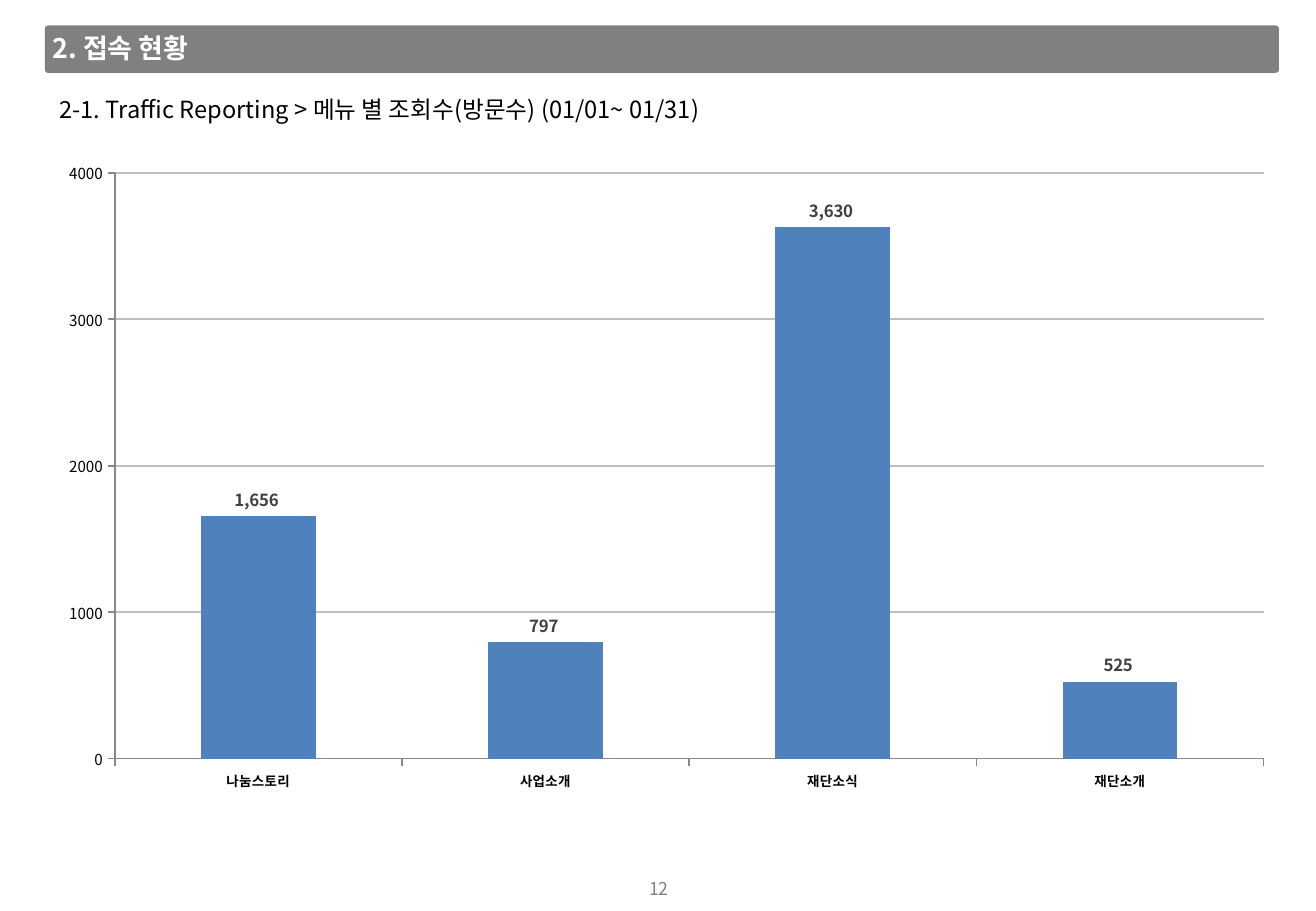
"""Build the menu page view slide with a column chart."""
from lxml.etree import SubElement
from pptx import Presentation
from pptx.chart.data import CategoryChartData
from pptx.dml.color import RGBColor
from pptx.enum.chart import XL_CHART_TYPE, XL_LABEL_POSITION, XL_TICK_MARK
from pptx.enum.shapes import MSO_SHAPE
from pptx.enum.text import MSO_ANCHOR, MSO_AUTO_SIZE, PP_ALIGN
from pptx.oxml.ns import qn
from pptx.util import Pt

FONT = "Noto Sans CJK KR"


def color(value):
    return RGBColor.from_string(value)


def write(box, text, size, fill, bold=False, align=PP_ALIGN.LEFT, inset=3.6, wrap=True):
    frame = box.text_frame
    frame.word_wrap = wrap
    frame.auto_size = MSO_AUTO_SIZE.NONE
    frame.vertical_anchor = MSO_ANCHOR.MIDDLE
    frame.margin_left = frame.margin_right = Pt(inset)
    frame.margin_top = frame.margin_bottom = Pt(inset)
    para = frame.paragraphs[0]
    para.alignment = align
    span = para.add_run()
    span.text = text
    span.font.name = FONT
    span.font.size = Pt(size)
    span.font.bold = bold
    span.font.color.rgb = color(fill)
    for latin in box.element.iter(qn("a:latin")):
        SubElement(latin.getparent(), qn("a:ea"), typeface=FONT)


deck = Presentation()
deck.slide_width, deck.slide_height = Pt(780), Pt(540)
page = deck.slides.add_slide(deck.slide_layouts[5])

title = page.shapes.title
title.left, title.top, title.width, title.height = Pt(27.4), Pt(15), Pt(118), Pt(26.6)
write(title, "2. 접속 현황", size=16, fill="FFFFFF", bold=True)

bar = page.shapes.add_shape(MSO_SHAPE.ROUNDED_RECTANGLE, Pt(26.6), Pt(15.1), Pt(731.5), Pt(28.1))
bar.adjustments[0] = 0.07
bar.shadow.inherit = False
bar.fill.solid()
bar.fill.fore_color.rgb = color("808080")
bar.line.fill.background()
title.element.addprevious(bar.element)

data = CategoryChartData()
data.categories = ["나눔스토리", "사업소개", "재단소식", "재단소개"]
data.add_series("Series 1", [1656, 797, 3630, 525])
chart = page.shapes.add_chart(
    XL_CHART_TYPE.COLUMN_CLUSTERED, Pt(41), Pt(94.3), Pt(708.5), Pt(374.4), data).chart
chart.has_title = False
chart.has_legend = False

plot = chart.plots[0]
plot.gap_width = 150
plot.vary_by_categories = False
columns = plot.series[0].format.fill
columns.solid()
columns.fore_color.rgb = color("4F81BD")

plot.has_data_labels = True
labels = plot.data_labels
labels.show_value = True
labels.position = XL_LABEL_POSITION.OUTSIDE_END
labels.number_format = r"#,##0_);\(#,##0\)"
labels.number_format_is_linked = False

menus, visits = chart.category_axis, chart.value_axis
visits.minimum_scale, visits.maximum_scale, visits.major_unit = 0, 4000, 1000
visits.tick_labels.number_format = "0"
visits.tick_labels.number_format_is_linked = False
visits.has_major_gridlines = True
for axis in (menus, visits):
    axis.major_tick_mark = XL_TICK_MARK.OUTSIDE
    axis.minor_tick_mark = XL_TICK_MARK.NONE
for owner, shade in ((menus, "888888"), (visits, "888888"), (visits.major_gridlines, "BFBFBF")):
    owner.format.line.width = Pt(1)
    owner.format.line.color.rgb = color(shade)

for font, size, shade, bold in (
    (chart.font, 10, "000000", False),
    (menus.tick_labels.font, 8, "000000", True),
    (visits.tick_labels.font, 9, "000000", False),
    (labels.font, 10, "404040", True),
):
    font.name = FONT
    font.size = Pt(size)
    font.bold = bold
    font.color.rgb = color(shade)
for latin in chart._chartSpace.iter(qn("a:latin")):
    SubElement(latin.getparent(), qn("a:ea"), typeface=FONT)

area = chart._chartSpace.chart.plotArea
for old in area.findall(qn("c:layout")):
    area.remove(old)
layout = SubElement(area, qn("c:layout"))
area.insert(0, layout)
manual = SubElement(layout, qn("c:manualLayout"))
for tag, value in (
    ("layoutTarget", "inner"), ("xMode", "edge"), ("yMode", "edge"),
    ("x", "0.037"), ("y", "0.022"), ("w", "0.963"), ("h", "0.932"),
):
    SubElement(manual, qn(f"c:{tag}"), val=value)

subtitle = page.shapes.add_textbox(Pt(31.7), Pt(52.3), Pt(448.6), Pt(24.5))
write(subtitle, "2-1. Traffic Reporting > 메뉴 별 조회수(방문수) (01/01~ 01/31)", size=14, fill="000000")

number = page.shapes.add_textbox(Pt(380.9), Pt(517), Pt(19.4), Pt(18.7))
write(number, "12", size=10.5, fill="808080", align=PP_ALIGN.CENTER, inset=2.9, wrap=False)

deck.save("out.pptx")
